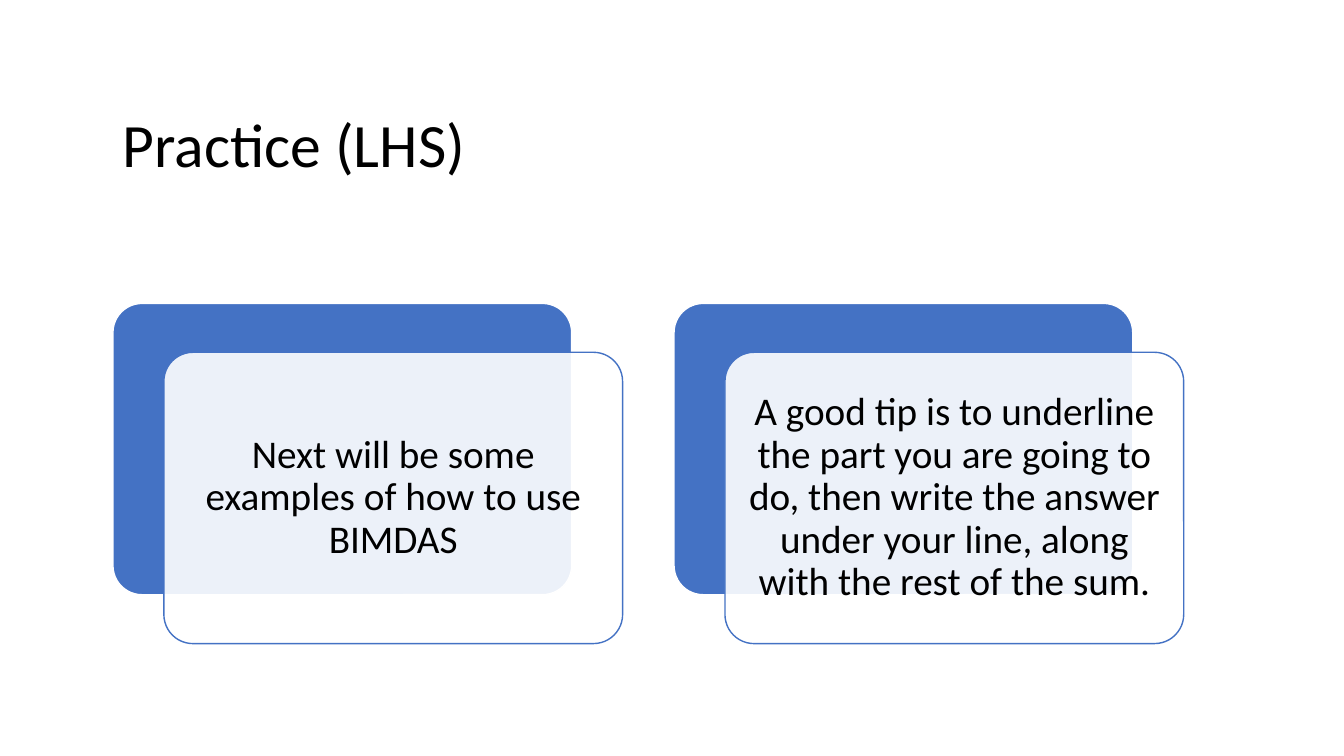
"""Builds the Practice (LHS) slide with two layered cards."""
from dataclasses import dataclass

from lxml.etree import SubElement
from pptx import Presentation
from pptx.dml.color import RGBColor
from pptx.enum.shapes import MSO_SHAPE as Preset
from pptx.enum.text import MSO_ANCHOR as Anchor, PP_ALIGN as Align
from pptx.oxml.ns import qn
from pptx.shapes.autoshape import Shape
from pptx.slide import Slide
from pptx.util import Inches, Pt

BLUE = RGBColor(0x44, 0x72, 0xC4)
WHITE = RGBColor(0xFF, 0xFF, 0xFF)
BLACK = RGBColor(0x00, 0x00, 0x00)

SLIDE_WIDTH, SLIDE_HEIGHT = 13.33, 7.5
LEFT_MARGIN, CARD_TOP = 1.12, 3.01
COLUMN_STEP = 5.565
CARD_WIDTH, CARD_HEIGHT = 4.55, 2.89
FRONT_SHIFT_X, FRONT_SHIFT_Y = 0.505, 0.485
TEXT_MARGIN = 0.085


@dataclass(frozen=True)
class Box:
    """A rectangle in inches."""
    left: float
    top: float
    width: float
    height: float

    def shifted(self, across: float, down: float) -> "Box":
        """Return the box moved by the given distances."""
        return Box(self.left + across, self.top + down, self.width, self.height)

    def shrunk(self, margin: float) -> "Box":
        """Return the box reduced by a margin on every side."""
        return Box(self.left + margin, self.top + margin,
                   self.width - 2 * margin, self.height - 2 * margin)

    def lengths(self) -> tuple[Inches, Inches, Inches, Inches]:
        """Return left, top, width and height as slide lengths."""
        return (Inches(self.left), Inches(self.top),
                Inches(self.width), Inches(self.height))


@dataclass(frozen=True)
class Card:
    """A message and the grid column that holds it."""
    column: int
    message: str


CARDS = (
    Card(0, "Next will be some examples of how to use BIMDAS"),
    Card(1, "A good tip is to underline the part you are going to do, then "
            "write the answer under your line, along with the rest of the sum."),
)


def add_text(slide: Slide, box: Box, wording: str, size: int,
             align: Align, inset_x: float, inset_y: float) -> None:
    """Add a vertically centred, wrapping text box."""
    frame = slide.shapes.add_textbox(*box.lengths()).text_frame
    frame.word_wrap = True
    frame.vertical_anchor = Anchor.MIDDLE
    frame.margin_left = frame.margin_right = Inches(inset_x)
    frame.margin_top = frame.margin_bottom = Inches(inset_y)
    paragraph = frame.paragraphs[0]
    paragraph.text = wording
    paragraph.alignment = align
    paragraph.line_spacing = 0.9
    paragraph.font.name = "Calibri"
    paragraph.font.size = Pt(size)
    paragraph.font.color.rgb = BLACK


def add_panel(slide: Slide, box: Box, fill: RGBColor, line: RGBColor) -> Shape:
    """Add a rounded panel without a shadow."""
    panel = slide.shapes.add_shape(Preset.ROUNDED_RECTANGLE, *box.lengths())
    panel.adjustments[0] = 0.1
    panel.shadow.inherit = False
    panel.fill.solid()
    panel.fill.fore_color.rgb = fill
    panel.line.color.rgb = line
    panel.line.width = Pt(1)
    return panel


def set_opacity(panel: Shape, percent: int) -> None:
    """Make the panel's fill partly transparent."""
    fill_color = panel.fill._xPr.find(qn("a:solidFill"))[0]
    SubElement(fill_color, qn("a:alpha")).set("val", str(percent * 1000))


def add_card(slide: Slide, card: Card) -> None:
    """Draw a back panel, a translucent front panel and the message."""
    back = Box(LEFT_MARGIN + card.column * COLUMN_STEP, CARD_TOP,
               CARD_WIDTH, CARD_HEIGHT)
    front = back.shifted(FRONT_SHIFT_X, FRONT_SHIFT_Y)
    add_panel(slide, back, BLUE, WHITE)
    set_opacity(add_panel(slide, front, WHITE, BLUE), 90)
    add_text(slide, front.shrunk(TEXT_MARGIN), card.message, 28,
             Align.CENTER, 0.12, 0.12)


def main() -> None:
    """Build and save the slide."""
    deck = Presentation()
    deck.slide_width, deck.slide_height = Inches(SLIDE_WIDTH), Inches(SLIDE_HEIGHT)
    slide = deck.slides.add_slide(deck.slide_layouts[6])
    add_text(slide, Box(LEFT_MARGIN, 0.64, 10.63, 1.64), "Practice (LHS)", 44,
             Align.LEFT, 0.1, 0.05)
    for card in CARDS:
        add_card(slide, card)
    deck.save("out.pptx")


if __name__ == "__main__":
    main()
